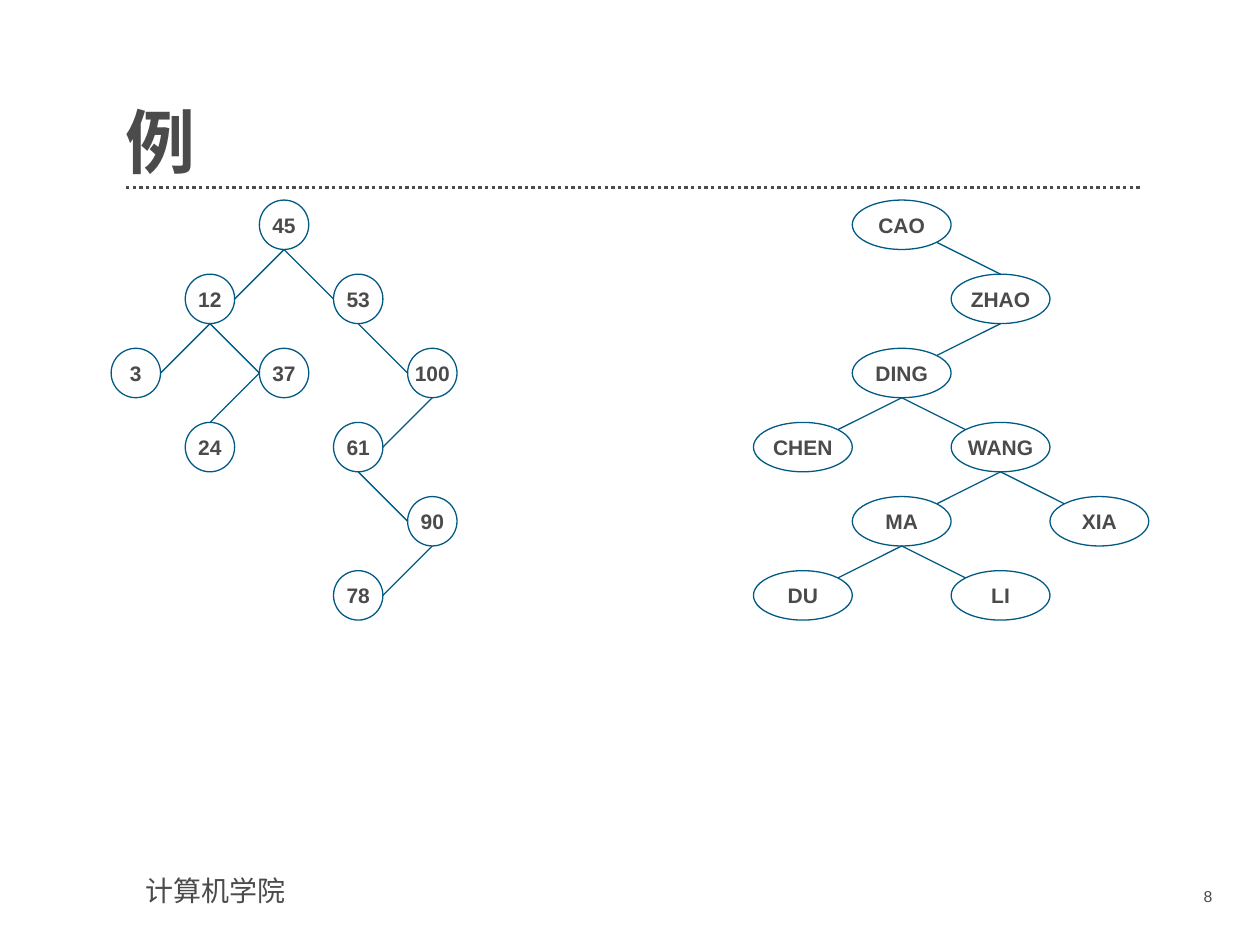
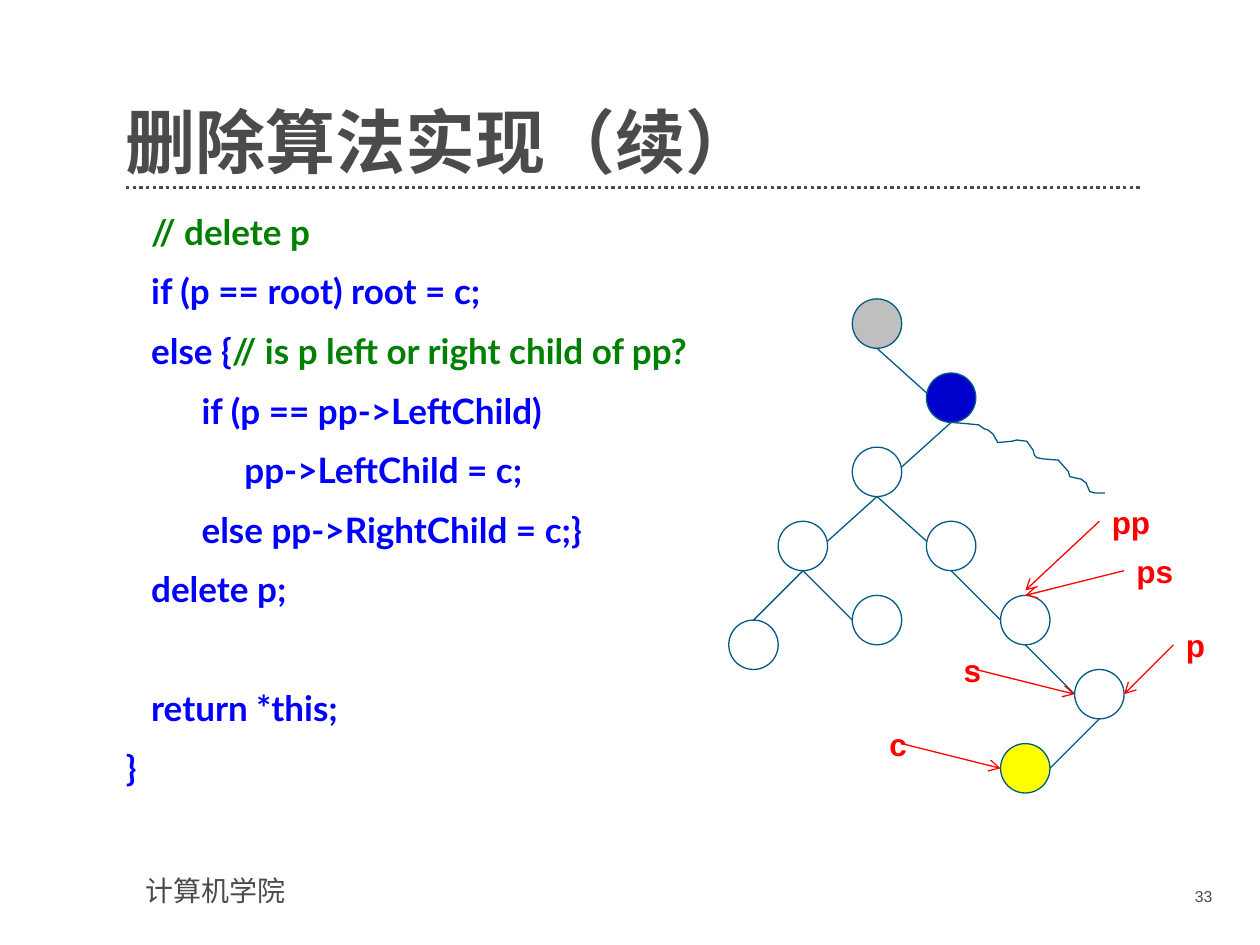
from dataclasses import dataclass
from typing import NamedTuple

from lxml.etree import SubElement
from pptx import Presentation
from pptx.dml.color import RGBColor as RGB
from pptx.enum.dml import MSO_LINE as Dash
from pptx.enum.shapes import MSO_CONNECTOR as Conn, MSO_SHAPE as Form
from pptx.enum.text import MSO_ANCHOR as Anchor, PP_ALIGN as Align
from pptx.oxml.ns import qn
from pptx.util import Emu, Inches, Pt

WIDE, HIGH = Inches(10), Inches(7.5)
CELL = WIDE / 51
LEFT, TOP = CELL * 0.5, CELL * 0.1
DIAG = 0.71
HAN = "Noto Sans CJK SC"

COLORS = {
    "ink": "4B4B4B", "edge": "005A84", "mark": "FF0000",
    "code": "0000FF", "note": "008000",
    "blue": "0000CC", "grey": "BFBFBF", "gold": "FFFF00",
}

PORTS = {
    "n": (0, -1), "s": (0, 1), "e": (1, 0), "w": (-1, 0),
    "ne": (DIAG, -DIAG), "nw": (-DIAG, -DIAG), "se": (DIAG, DIAG),
}


class Spot(NamedTuple):
    """A place on the grid, in columns and rows."""
    col: float
    row: float


class Frame(NamedTuple):
    """Left, top, width and height in percent of the slide."""
    x: float
    y: float
    w: float
    h: float


class Font(NamedTuple):
    size: float
    color: str = "ink"
    face: str = "Arial"
    bold: bool = False


@dataclass
class Node:
    name: str
    spot: Spot
    fill: str = ""


@dataclass
class Edge:
    start: str
    out: str
    end: str
    into: str
    lift: float = 0


@dataclass
class Tag:
    """A red name with an arrow to a node."""
    text: str
    spot: Spot
    end: str
    into: str
    back: float = 0
    lift: float = 0


@dataclass
class Tree:
    nodes: list[Node]
    edges: list[Edge]
    half: float = 1
    named: bool = True

    def port(self, name: str, side: str, lift: float = 0) -> Spot:
        spot = next(n.spot for n in self.nodes if n.name == name)
        dx, dy = PORTS[side]
        return Spot(spot.col + dx * self.half, spot.row + dy - lift)


class Line(NamedTuple):
    """One line of code: indent in inches, then (text, colour) pieces."""
    indent: float
    bits: list[tuple[str, str]]
    gap: float = 10


TITLE = Frame(10, 7.33, 80.6, 12.13)
BODY = Frame(10, 22.27, 80.6, 66.67)
FOOT = Frame(10.6, 91.73, 27.6, 4.93)
PAGE = Frame(87.3, 93.2, 9.9, 3.87)
RULE = 19.87


def make_tree(nodes: dict, edges: str, **opts) -> Tree:
    """Edges read 'start out end into', with commas between them."""
    return Tree([Node(k, Spot(*v[:2]), *v[2:]) for k, v in nodes.items()],
                [Edge(*e.split()[:4], *map(float, e.split()[4:]))
                 for e in edges.split(",")], **opts)


NUMBERS = make_tree(
    {"45": (11, 9), "12": (8, 12), "53": (14, 12), "3": (5, 15), "37": (11, 15),
     "100": (17, 15), "24": (8, 18), "61": (14, 18), "90": (17, 21), "78": (14, 24)},
    "45 s 12 e, 12 s 3 e, 45 s 53 w, 53 s 100 w, 12 s 37 w, 37 w 24 n,"
    "100 s 61 e, 61 s 90 w, 90 s 78 e")

NAMES = make_tree(
    {"CAO": (36, 9), "ZHAO": (40, 12), "DING": (36, 15), "WANG": (40, 18),
     "CHEN": (32, 18), "MA": (36, 21), "XIA": (44, 21), "LI": (40, 24), "DU": (32, 24)},
    "CAO se ZHAO n, ZHAO s DING ne, DING s CHEN ne, DING s WANG nw,"
    "WANG s XIA nw, WANG s MA ne, MA s DU ne, MA s LI nw", half=2)

SEARCH = make_tree(
    {"top": (35, 13, "grey"), "del": (38, 16, "blue"), "sub": (35, 19),
     "low": (32, 22), "mid": (38, 22), "pp": (41, 25), "far": (30, 26),
     "near": (35, 25), "p": (44, 28), "c": (41, 31, "gold")},
    "top s del w 0.2, del s sub e 0.2, sub s low e 0.2, sub s mid w 0.2,"
    "mid s pp w, pp s p w, low s far n, low s near w, p s c e", named=False)

TAGS = [
    Tag("p", Spot(47, 26), "p", "e"),
    Tag("pp", Spot(44, 21), "pp", "n", lift=0.2),
    Tag("s", Spot(39, 27), "p", "w", back=1),
    Tag("ps", Spot(45, 23), "pp", "n"),
    Tag("c", Spot(36, 30), "c", "w", back=1),
]

# Steps in hundredths of an inch from the foot of the blue node
WAVE = [(0, 0), (12, 1), (22, 2), (26, 5), (29, 6), (33, 9), (37, 16), (48, 15),
        (52, 14), (60, 15), (65, 22), (66, 26), (68, 28), (73, 29), (85, 30),
        (93, 39), (94, 43), (98, 44), (103, 45), (107, 48), (110, 55), (114, 56),
        (122, 56)]

CODE = [
    Line(0.2, [("// delete p", "note")], 0),
    Line(0.2, [("if (p == root) root = c;", "code")]),
    Line(0.2, [("else {", "code"), ("// is p left or right child of pp?", "note")]),
    Line(0.6, [("if (p == pp->LeftChild)", "code")]),
    Line(0.94, [("pp->LeftChild = c;", "code")]),
    Line(0.6, [("else pp->RightChild = c;}", "code")]),
    Line(0.2, [("delete p;", "code")]),
    Line(0.2, [("return *this;", "code")], 44),
    Line(0, [("}", "code")]),
]


def rgb(key: str) -> RGB:
    return RGB.from_string(COLORS[key])


def place(spot: Spot) -> tuple[Emu, Emu]:
    return Emu(int(LEFT + spot.col * CELL)), Emu(int(TOP + spot.row * CELL))


def share(frame: Frame) -> list[Emu]:
    return [Emu(int(rate * side / 100))
            for rate, side in zip(frame, (WIDE, HIGH, WIDE, HIGH))]


def style(run, font: Font) -> None:
    run.font.size, run.font.bold = Pt(font.size), font.bold
    run.font.name = font.face
    run.font.color.rgb = rgb(font.color)
    east = SubElement(run.font._element, qn("a:ea"))
    east.set("typeface", HAN)


def write(frame, text: str, font: Font, align=Align.LEFT) -> None:
    frame.text = text
    para = frame.paragraphs[0]
    para.alignment = align
    style(para.runs[0], font)


def bare(frame) -> None:
    """Take away the inner margins."""
    frame.margin_left = frame.margin_right = 0
    frame.margin_top = frame.margin_bottom = 0


def add_box(slide, area, wrap: bool = True):
    frame = slide.shapes.add_textbox(*area).text_frame
    frame.word_wrap = wrap
    return frame


def stroke(line, color: str, width: float = 0.75) -> None:
    line.color.rgb, line.width = rgb(color), Pt(width)


def add_line(slide, start, end, color="edge", width=0.75, arrow=False):
    link = slide.shapes.add_connector(Conn.STRAIGHT, *start, *end)
    stroke(link.line, color, width)
    if arrow:
        SubElement(link.line._get_or_add_ln(), qn("a:tailEnd")).set("type", "arrow")
    SubElement(link._element.spPr, qn("a:effectLst"))
    return link


def add_node(slide, node: Node, half: float, named: bool) -> None:
    col, row = node.spot
    oval = slide.shapes.add_shape(Form.OVAL, *place(Spot(col - half, row - 1)),
                                  int(2 * half * CELL), int(2 * CELL))
    oval.shadow.inherit = False
    stroke(oval.line, "edge")
    if node.fill:
        oval.fill.solid()
        oval.fill.fore_color.rgb = rgb(node.fill)
    else:
        oval.fill.background()
    if named:
        frame = oval.text_frame
        bare(frame)
        frame.word_wrap, frame.vertical_anchor = False, Anchor.MIDDLE
        write(frame, node.name, Font(12, bold=True), Align.CENTER)


def draw_tree(slide, tree: Tree) -> None:
    for node in tree.nodes:
        add_node(slide, node, tree.half, tree.named)
    for edge in tree.edges:
        add_line(slide, place(tree.port(edge.start, edge.out)),
                 place(tree.port(edge.end, edge.into, edge.lift)))


def draw_tag(slide, tree: Tree, tag: Tag) -> None:
    add_line(slide, place(tag.spot), place(tree.port(tag.end, tag.into, tag.lift)),
             "mark", arrow=True)
    corner = Spot(tag.spot.col - tag.back, tag.spot.row - 1)
    frame = add_box(slide, (*place(corner), int(3 * CELL), int(2 * CELL)))
    write(frame, tag.text, Font(18, "mark", bold=True))


def draw_wave(slide, start: Spot) -> None:
    x, y = place(start)
    spots = [(x + Inches(dx / 100), y + Inches(dy / 100)) for dx, dy in WAVE]
    pen = slide.shapes.build_freeform(*spots[0])
    pen.add_line_segments(spots[1:], close=False)
    wave = pen.convert_to_shape()
    wave.shadow.inherit = False
    wave.fill.background()
    stroke(wave.line, "edge")


def draw_code(slide) -> None:
    frame = add_box(slide, share(BODY))
    bare(frame)
    for i, line in enumerate(CODE):
        para = frame.add_paragraph() if i else frame.paragraphs[0]
        para.space_before = Pt(line.gap)
        para._p.get_or_add_pPr().set("marL", str(int(Inches(line.indent))))
        for text, color in line.bits:
            run = para.add_run()
            run.text = text
            style(run, Font(20, color, "Lato", True))


def add_slide(deck, title: str, page: int):
    """Start a slide with its title, dotted rule, footer and number."""
    slide = deck.slides.add_slide(deck.slide_layouts[6])
    x, y, w, _ = share(Frame(TITLE.x, RULE, TITLE.w, 0))
    rule = add_line(slide, (x, y), (x + w, y), "ink", 1.9)
    rule.line.dash_style = Dash.ROUND_DOT
    write(add_box(slide, share(FOOT)), "计算机学院", Font(16))
    head = add_box(slide, share(TITLE))
    bare(head)
    head.vertical_anchor = Anchor.BOTTOM
    write(head, title, Font(40, face=HAN, bold=True))
    head.paragraphs[0].line_spacing = 0.9
    write(add_box(slide, share(PAGE)), str(page), Font(9), Align.RIGHT)
    return slide


def main() -> None:
    deck = Presentation()
    deck.slide_width, deck.slide_height = WIDE, HIGH

    slide = add_slide(deck, "例", 8)
    for tree in (NUMBERS, NAMES):
        draw_tree(slide, tree)

    slide = add_slide(deck, "删除算法实现（续）", 33)
    draw_code(slide)
    draw_tree(slide, SEARCH)
    draw_wave(slide, SEARCH.port("del", "s"))
    for tag in TAGS:
        draw_tag(slide, SEARCH, tag)

    deck.save("out.pptx")


if __name__ == "__main__":
    main()
